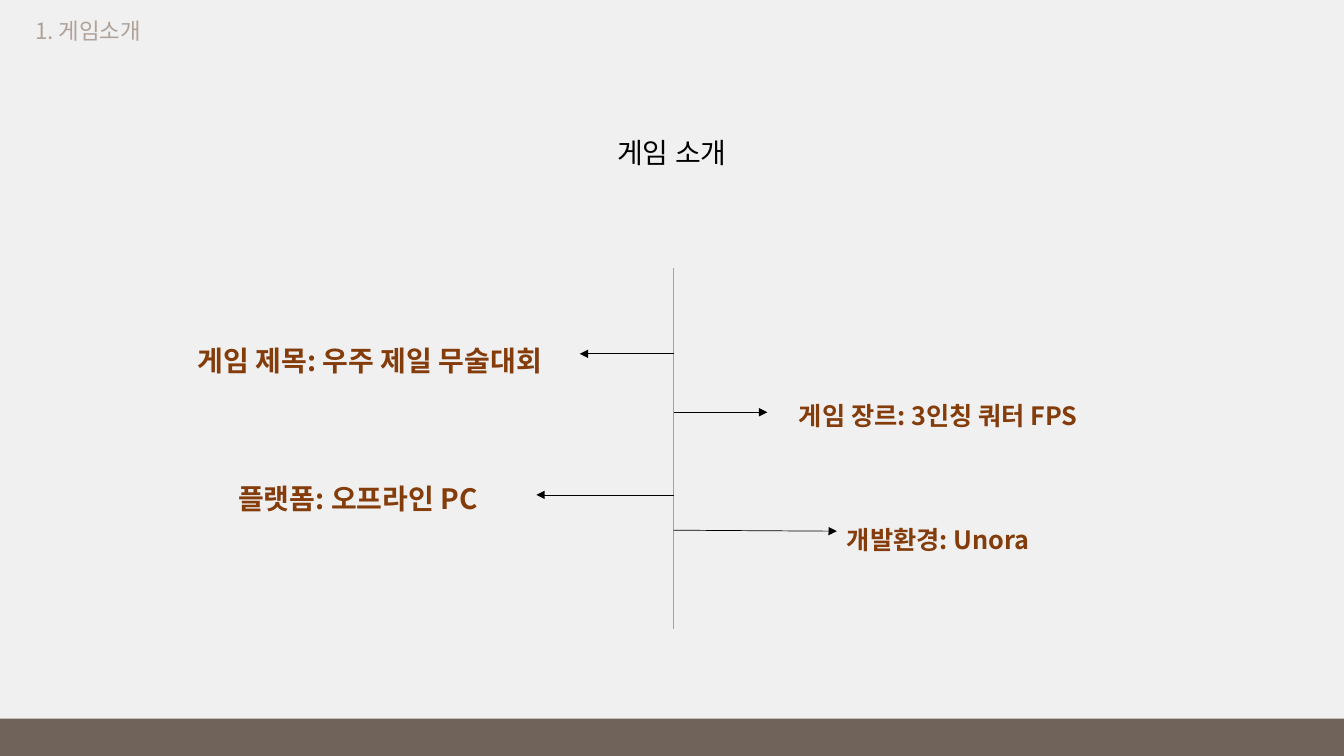
import pptx
import pptx.util
import pptx.dml.color
import pptx.enum.shapes
import pptx.enum.text
import pptx.oxml.ns
from lxml import etree

# Content
FONT = "Noto Sans CJK KR"
BROWN, BLACK, TAUPE = "843C0B", "000000", "AD9F95"
SECTION = "1. 게임소개"
TITLE = "게임 소개"
W, H = 13.33, 7.5
AXIS_X, AXIS_TOP, AXIS_BOTTOM = 6.68, 2.66, 6.24
BAR_H = 0.37
LEFT_SIZE, RIGHT_SIZE = (6.02, 0.54, 20), (6.67, 0.5, 18)  # width, height, points
# text, box left, box top, box size, arrow start y, arrow tip x, arrow tip y
FACTS = [
    ("게임 제목: 우주 제일 무술대회", 0.66, 3.19, LEFT_SIZE, 3.51, 5.75, 3.51),
    ("게임 장르: 3인칭 쿼터 FPS", 5.97, 3.77, RIGHT_SIZE, 4.09, 7.61, 4.09),
    ("플랫폼: 오프라인 PC", 0.54, 4.56, LEFT_SIZE, 4.91, 5.32, 4.91),
    ("개발환경: Unora", 5.97, 5.0, RIGHT_SIZE, 5.26, 8.3, 5.27),
]

inch = pptx.util.Inches
qn = pptx.oxml.ns.qn
PP_ALIGN = pptx.enum.text.PP_ALIGN


def color(hex_string):
    return pptx.dml.color.RGBColor.from_string(hex_string)


def write(sp, text, size, hex_string, bold=False, centered=True):
    tf = sp.text_frame
    tf.text = text
    tf.word_wrap = centered
    tf.auto_size = pptx.enum.text.MSO_AUTO_SIZE.SHAPE_TO_FIT_TEXT
    tf.vertical_anchor = pptx.enum.text.MSO_ANCHOR.TOP
    p = tf.paragraphs[0]
    p.alignment = PP_ALIGN.CENTER if centered else PP_ALIGN.LEFT
    if centered:
        p.line_spacing = 1.5
    r = p.runs[0]
    r.font.size = pptx.util.Pt(size)
    r.font.bold = bold
    r.font.color.rgb = color(hex_string)
    r.font.name = FONT
    etree.SubElement(r.font._element, qn("a:ea"), typeface=FONT)


def add_text(s, left, top, width, height, *style, **options):
    sp = s.shapes.add_textbox(inch(left), inch(top), inch(width), inch(height))
    write(sp, *style, **options)


def add_line(s, x1, y1, x2, y2, hex_string, arrow=False):
    line = s.shapes.add_connector(pptx.enum.shapes.MSO_CONNECTOR.STRAIGHT,
                                  inch(x1), inch(y1), inch(x2), inch(y2))
    line.line.color.rgb = color(hex_string)
    line.line.width = pptx.util.Pt(0.5)
    if arrow:
        etree.SubElement(line.line._get_or_add_ln(), qn("a:tailEnd"), type="triangle")
    etree.SubElement(line._element.spPr, qn("a:effectLst"))


def main():
    prs = pptx.Presentation()
    prs.slide_width, prs.slide_height = inch(W), inch(H)
    s = prs.slides.add_slide(prs.slide_layouts[5])

    # Background and bottom bar
    s.background.fill.solid()
    s.background.fill.fore_color.rgb = color("F0F0F0")
    bar = s.shapes.add_shape(pptx.enum.shapes.MSO_SHAPE.RECTANGLE,
                             0, inch(H - BAR_H), inch(W), inch(BAR_H))
    bar.shadow.inherit = False
    bar.fill.solid()
    bar.fill.fore_color.rgb = color("70635A")
    bar.line.fill.background()

    # Title and section label
    title = s.shapes.title
    title.left, title.top = inch(3.81), inch(1.13)
    title.width, title.height = inch(5.71), inch(0.54)
    write(title, TITLE, 20, BLACK)
    add_text(s, 0.25, 0.12, 1.35, 0.37, SECTION, 16, "AFA299", centered=False)

    # Central axis with facts branching off both sides
    add_line(s, AXIS_X, AXIS_TOP, AXIS_X, AXIS_BOTTOM, TAUPE)
    for text, left, top, (width, height, size), start_y, tip_x, tip_y in FACTS:
        add_text(s, left, top, width, height, text, size, BROWN, bold=True)
        add_line(s, AXIS_X, start_y, tip_x, tip_y, BLACK, arrow=True)

    prs.save("out.pptx")


if __name__ == "__main__":
    main()
